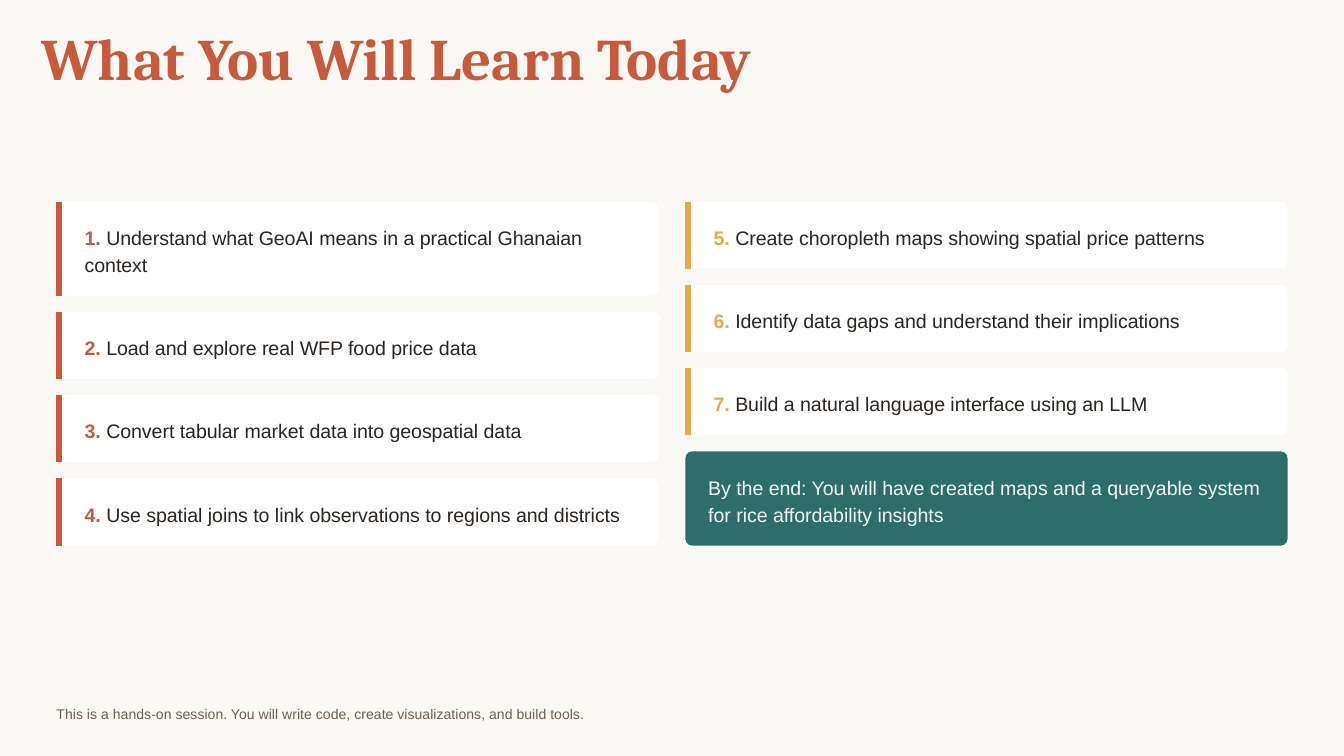
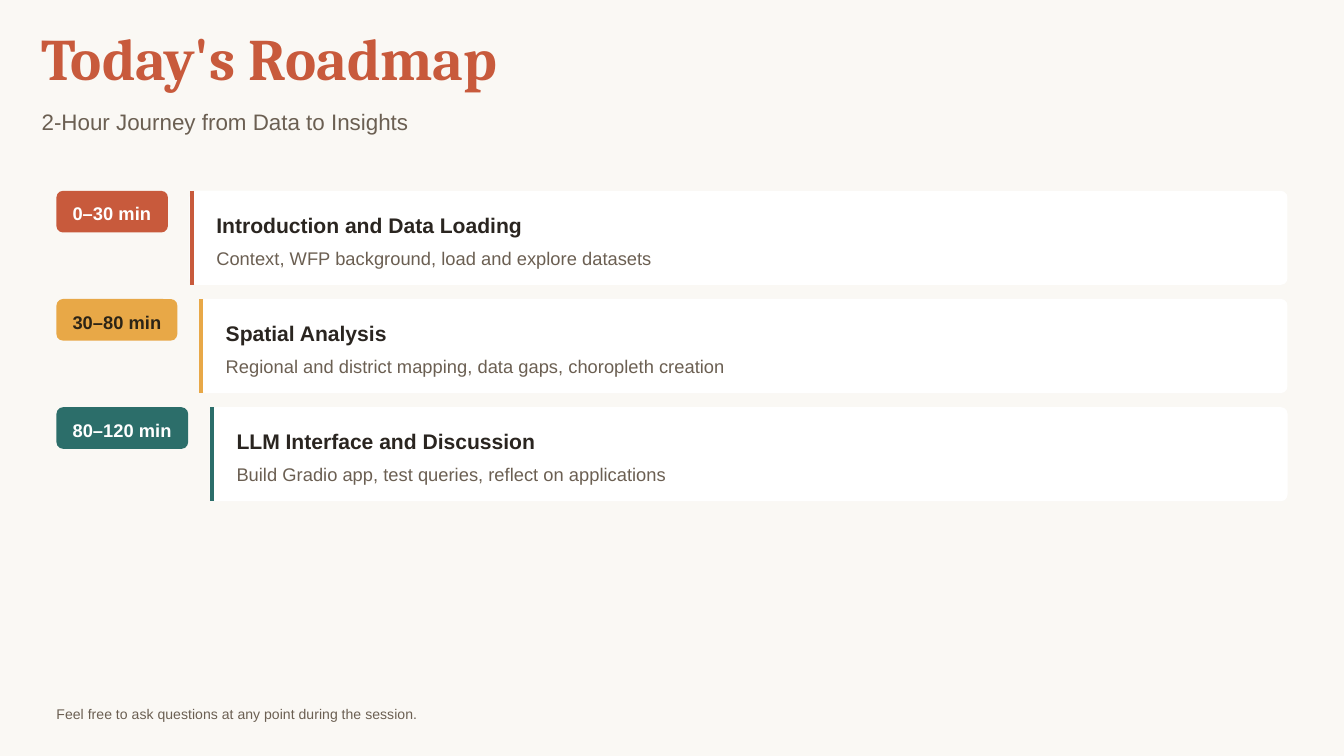
from pptx import Presentation
from pptx.dml.color import RGBColor
from pptx.enum.shapes import MSO_CONNECTOR, MSO_SHAPE
from pptx.enum.text import MSO_ANCHOR
from pptx.oxml.ns import qn
from pptx.util import Inches, Pt
from lxml.etree import SubElement

RUST, GOLD, TEAL = "C85A3C", "E8A847", "2C6E6A"
CREAM, WHITE, PALE = "FAF8F4", "FFFFFF", "F5F5F5"
INK, DARK, MUTED = "2A2520", "2C2416", "6B5F52"
SERIF, SANS = "Cambria", "Arial"

LEFT, RIGHT = 0.42, 9.58
RADIUS = 0.05

# Each goal: text, number of lines
LEARN_TITLE = "What You Will Learn Today"
LEARN_COLUMNS = [
    (LEFT, RUST, [
        ("Understand what GeoAI means in a practical Ghanaian context", 2),
        ("Load and explore real WFP food price data", 1),
        ("Convert tabular market data into geospatial data", 1),
        ("Use spatial joins to link observations to regions and districts", 1),
    ]),
    (5.1, GOLD, [
        ("Create choropleth maps showing spatial price patterns", 1),
        ("Identify data gaps and understand their implications", 1),
        ("Build a natural language interface using an LLM", 1),
    ]),
]
OUTCOME = ("By the end: You will have created maps and a queryable system "
           "for rice affordability insights")
LEARN_FOOTER = ("This is a hands-on session. You will write code, "
                "create visualizations, and build tools.")

# Each stage: time, badge width, badge colour, badge text colour, heading, detail
ROADMAP_TITLE = "Today's Roadmap"
ROADMAP_SUBTITLE = "2-Hour Journey from Data to Insights"
STAGES = [
    ("0–30 min", 0.83, RUST, WHITE, "Introduction and Data Loading",
     "Context, WFP background, load and explore datasets"),
    ("30–80 min", 0.9, GOLD, DARK, "Spatial Analysis",
     "Regional and district mapping, data gaps, choropleth creation"),
    ("80–120 min", 0.98, TEAL, WHITE, "LLM Interface and Discussion",
     "Build Gradio app, test queries, reflect on applications"),
]
ROADMAP_FOOTER = "Feel free to ask questions at any point during the session."


def rgb(color):
    return RGBColor.from_string(color)


def add_text(s, x, y, w, h, runs, size, leading, font=SANS, before=0, after=0):
    """Add one paragraph; runs are (text, colour, bold)."""
    tf = s.shapes.add_textbox(Inches(x), Inches(y), Inches(w), Inches(h)).text_frame
    tf.margin_left = tf.margin_right = tf.margin_top = tf.margin_bottom = 0
    tf.word_wrap = True
    tf.vertical_anchor = MSO_ANCHOR.TOP
    p = tf.paragraphs[0]
    p.line_spacing = Pt(leading)
    p.space_before, p.space_after = Pt(before), Pt(after)
    for text, color, bold in runs:
        r = p.add_run()
        r.text = text
        r.font.name, r.font.size, r.font.bold = font, Pt(size), bold
        r.font.color.rgb = rgb(color)


def add_panel(s, x, y, w, h, fill):
    sp = s.shapes.add_shape(MSO_SHAPE.ROUNDED_RECTANGLE,
                            Inches(x), Inches(y), Inches(w), Inches(h))
    sp.adjustments[0] = RADIUS / min(w, h)
    sp.shadow.inherit = False
    sp.fill.solid()
    sp.fill.fore_color.rgb = rgb(fill)
    sp.line.fill.background()


def add_card(s, x, y, w, h, accent, weight):
    """Add a white panel with a coloured bar down its left edge."""
    add_panel(s, x, y, w, h, WHITE)
    bar_x = Inches(x) + Pt(weight / 2)
    bar = s.shapes.add_connector(MSO_CONNECTOR.STRAIGHT,
                                 bar_x, Inches(y), bar_x, Inches(y + h))
    bar.line.color.rgb = rgb(accent)
    bar.line.width = Pt(weight)
    SubElement(bar._element.spPr, qn("a:effectLst"))


def add_base(prs, title, title_w, footer):
    """Add a slide with the shared background, title and footer."""
    s = prs.slides.add_slide(prs.slide_layouts[6])
    s.background.fill.solid()
    s.background.fill.fore_color.rgb = rgb(CREAM)
    add_text(s, 0.31, 0.25, title_w, 0.44, [(title, RUST, True)], 31.5, 31.5,
             font=SERIF, after=6)
    add_text(s, LEFT, 5.23, 9.35, 0.15, [(footer, MUTED, False)], 7.5, 10.5)
    return s


def build_learn(prs):
    s = add_base(prs, LEARN_TITLE, 5.38, LEARN_FOOTER)
    top, gap, width, pad = 1.5, 0.12, 4.48, 0.15
    heights = {1: 0.5, 2: 0.7}
    number = 0
    for x, accent, goals in LEARN_COLUMNS:
        y = top
        for goal, lines in goals:
            number += 1
            h = heights[lines]
            add_card(s, x, y, width, h, accent, 3)
            add_text(s, x + 0.21, y + pad, 4.19, h - 2 * pad,
                     [(f"{number}.", accent, True), (f" {goal}", INK, False)], 10.5, 14.7)
            y += h + gap
    # The outcome closes the right column
    add_panel(s, x, y, width, heights[2], TEAL)
    add_text(s, x + 0.17, y + pad, 4.23, heights[2] - 2 * pad,
             [(OUTCOME, PALE, False)], 10.5, 14.7)


def build_roadmap(prs):
    s = add_base(prs, ROADMAP_TITLE, 4.79, ROADMAP_FOOTER)
    add_text(s, 0.31, 0.77, 9.56, 0.23, [(ROADMAP_SUBTITLE, MUTED, False)],
             12, 16.8, before=3)
    first, last = 1.42, 3.03
    pitch = (last - first) / (len(STAGES) - 1)
    for i, (time, badge_w, accent, time_color, heading, detail) in enumerate(STAGES):
        y = first + i * pitch
        add_panel(s, LEFT, y, badge_w, 0.31, accent)
        add_text(s, LEFT + 0.12, y + 0.06, badge_w - 0.2, 0.19,
                 [(time, time_color, True)], 9.8, 13.7)
        card_x = LEFT + badge_w + 0.16
        add_card(s, card_x, y, RIGHT - card_x, 0.7, accent, 2.25)
        text_x = card_x + 0.2
        text_w = RIGHT - text_x
        add_text(s, text_x, y + 0.13, text_w, 0.22, [(heading, INK, True)], 11.3, 15.8)
        add_text(s, text_x, y + 0.39, text_w, 0.19, [(detail, MUTED, False)],
                 9.8, 13.7, before=3)


def main():
    prs = Presentation()
    prs.slide_width = Inches(10)
    prs.slide_height = prs.slide_width * 9 // 16
    build_learn(prs)
    build_roadmap(prs)
    prs.save("out.pptx")


if __name__ == "__main__":
    main()
